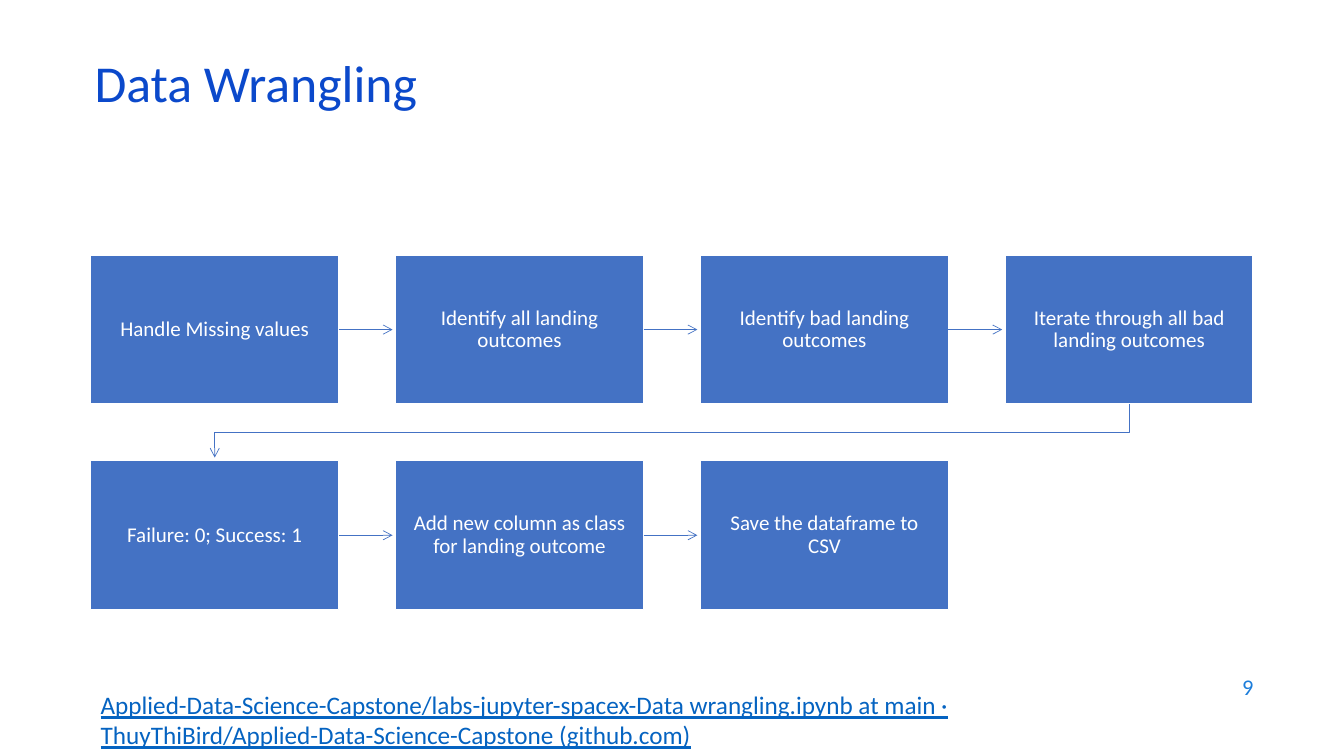
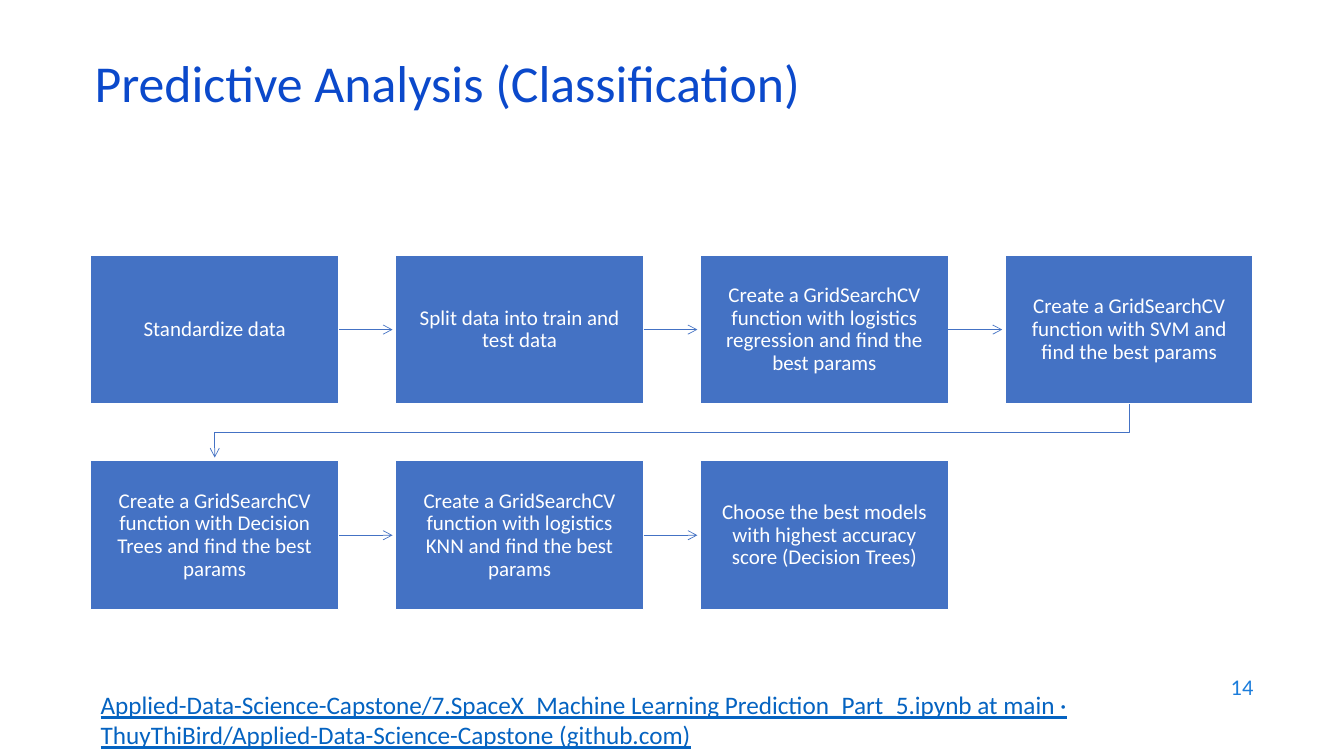
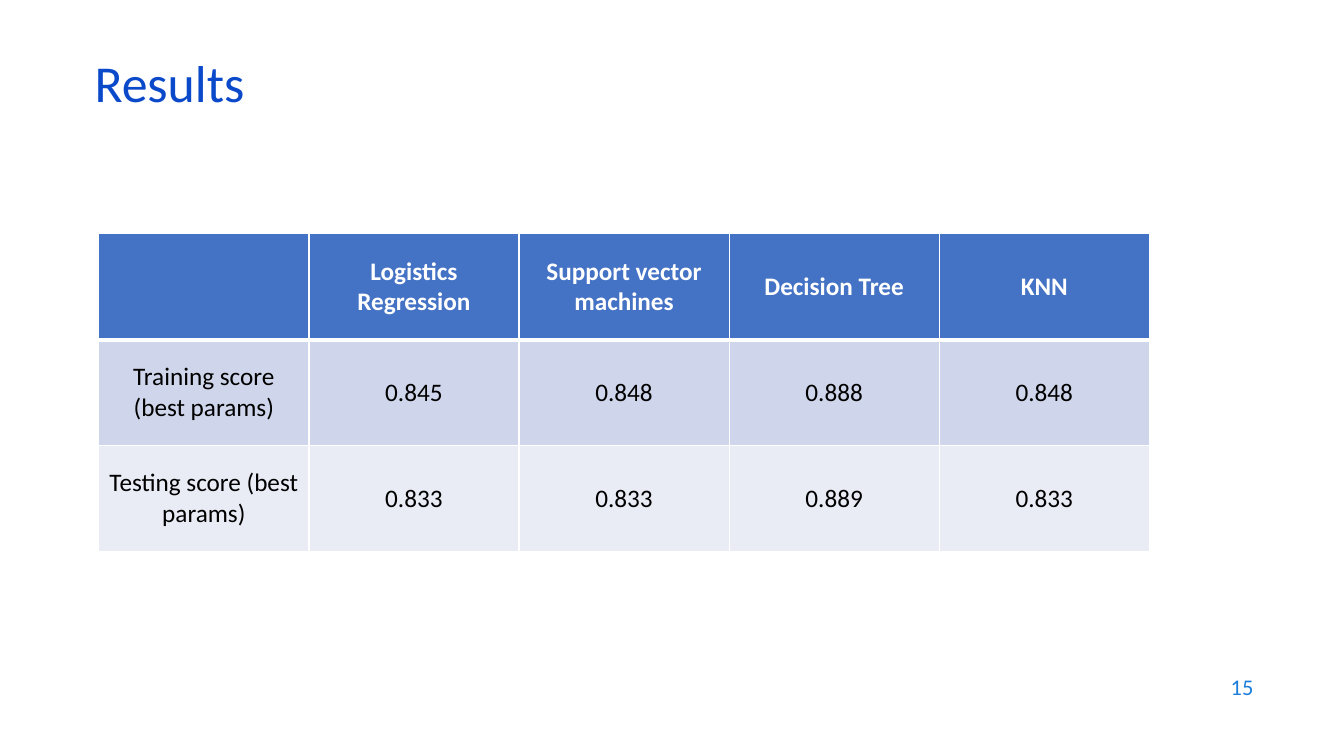
from lxml.etree import SubElement
from pptx import Presentation
from pptx.dml.color import RGBColor
from pptx.enum.shapes import MSO_CONNECTOR, MSO_SHAPE
from pptx.enum.text import MSO_ANCHOR, PP_ALIGN
from pptx.oxml.ns import qn
from pptx.util import Inches, Pt

# Shared style
FONT = "Calibri"
TITLE_BLUE = RGBColor(0x0B, 0x49, 0xCB)
NUMBER_BLUE = RGBColor(0x1C, 0x7D, 0xDB)
LINK_BLUE = RGBColor(0x05, 0x63, 0xC1)
BLUE = RGBColor(0x44, 0x72, 0xC4)
WHITE = RGBColor(0xFF, 0xFF, 0xFF)
BLACK = RGBColor(0, 0, 0)
ROW_FILLS = [BLUE, RGBColor(0xCF, 0xD5, 0xEA), RGBColor(0xE9, 0xEB, 0xF5)]

# Content
FLOWS = [
    {
        "title": "Data Wrangling",
        "number": "9",
        "steps": [
            "Handle Missing values",
            "Identify all landing outcomes",
            "Identify bad landing outcomes",
            "Iterate through all bad landing outcomes",
            "Failure: 0; Success: 1",
            "Add new column as class for landing outcome",
            "Save the dataframe to CSV",
        ],
        "source": "Applied-Data-Science-Capstone/labs-jupyter-spacex-Data wrangling.ipynb "
                  "at main · ThuyThiBird/Applied-Data-Science-Capstone (github.com)",
    },
    {
        "title": "Predictive Analysis (Classification)",
        "number": "14",
        "steps": [
            "Standardize data",
            "Split data into train and test data",
            "Create a GridSearchCV function with logistics regression and find the best params",
            "Create a GridSearchCV function with SVM and find the best params",
            "Create a GridSearchCV function with Decision Trees and find the best params",
            "Create a GridSearchCV function with logistics KNN and find the best params",
            "Choose the best models with highest accuracy score (Decision Trees)",
        ],
        "source": "Applied-Data-Science-Capstone/7.SpaceX_Machine Learning Prediction_Part_5.ipynb "
                  "at main · ThuyThiBird/Applied-Data-Science-Capstone (github.com)",
    },
]
RESULTS = {
    "title": "Results",
    "number": "15",
    "rows": [
        ["", "Logistics Regression", "Support vector machines", "Decision Tree", "KNN"],
        ["Training score (best params)", "0.845", "0.848", "0.888", "0.848"],
        ["Testing score (best params)", "0.833", "0.833", "0.889", "0.833"],
    ],
}

# Flow grid
COLS = 4
BOX_W, BOX_H = Inches(2.46), Inches(1.48)
GRID_LEFT, GRID_TOP = Inches(0.9), Inches(2.53)
PITCH_X = (Inches(12.43) - GRID_LEFT - BOX_W) // (COLS - 1)
PITCH_Y = Inches(2.04)
ARROW_GAP = Inches(0.03)


def write(tf, text, size, color, align=PP_ALIGN.LEFT, bold=False):
    p = tf.paragraphs[0]
    p.alignment = align
    r = p.add_run()
    r.text = text
    r.font.name, r.font.size, r.font.bold = FONT, Pt(size), bold
    r.font.color.rgb = color
    return p, r


def add_text(s, box, text, size, color, align=PP_ALIGN.LEFT, anchor=MSO_ANCHOR.MIDDLE):
    tf = s.shapes.add_textbox(*map(Inches, box)).text_frame
    tf.word_wrap = True
    tf.vertical_anchor = anchor
    return write(tf, text, size, color, align)


def new_slide(prs, title, number):
    s = prs.slides.add_slide(prs.slide_layouts[6])
    add_text(s, (9.53, 6.59, 3, 0.44), number, 16, NUMBER_BLUE, PP_ALIGN.RIGHT)
    p, _ = add_text(s, (0.84, 0.59, 11.5, 0.6), title, 37, TITLE_BLUE)
    p.line_spacing = 0.7
    return s


def style_arrow(sp):
    sp.line.color.rgb = BLUE
    sp.line.width = Pt(0.5)
    props = sp._element.spPr
    SubElement(props.find(qn("a:ln")), qn("a:tailEnd"), type="arrow")
    SubElement(props, qn("a:effectLst"))


def add_step(s, i, text):
    row, col = divmod(i, COLS)
    sp = s.shapes.add_shape(MSO_SHAPE.RECTANGLE, GRID_LEFT + col * PITCH_X,
                            GRID_TOP + row * PITCH_Y, BOX_W, BOX_H)
    sp.shadow.inherit = False
    sp.fill.solid()
    sp.fill.fore_color.rgb = BLUE
    sp.line.color.rgb = WHITE
    sp.line.width = Pt(1)
    tf = sp.text_frame
    tf.word_wrap = True
    tf.vertical_anchor = MSO_ANCHOR.MIDDLE
    tf.margin_left = tf.margin_right = tf.margin_top = tf.margin_bottom = Inches(0.12)
    p, _ = write(tf, text, 15, WHITE, PP_ALIGN.CENTER)
    p.line_spacing = 0.9
    return sp


def link_steps(s, a, b):
    if a.top == b.top:
        y = a.top + BOX_H // 2
        arrow = s.shapes.add_connector(MSO_CONNECTOR.STRAIGHT, a.left + BOX_W, y,
                                       b.left - ARROW_GAP, y)
        arrow.begin_connect(a, 3)
    else:
        # Wrap from the end of one row to the start of the next
        start_x, end_x = a.left + BOX_W // 2, b.left + BOX_W // 2
        bottom = a.top + BOX_H
        middle = (bottom + b.top) // 2
        path_builder = s.shapes.build_freeform(start_x, bottom)
        path_builder.add_line_segments(
            [(start_x, middle), (end_x, middle), (end_x, b.top - ARROW_GAP)], close=False)
        arrow = path_builder.convert_to_shape()
        arrow.fill.background()
    style_arrow(arrow)


def add_flow(prs, flow):
    s = new_slide(prs, flow["title"], flow["number"])
    boxes = [add_step(s, i, text) for i, text in enumerate(flow["steps"])]
    for a, b in zip(boxes, boxes[1:]):
        link_steps(s, a, b)
    _, r = add_text(s, (0.9, 6.79, 10.72, 0.71), flow["source"], 18, LINK_BLUE,
                    anchor=MSO_ANCHOR.TOP)
    r.font.underline = True


def set_borders(cell, widths):
    props = cell._tc.get_or_add_tcPr()
    for side, width in widths.items():
        ln = SubElement(props, qn(f"a:ln{side}"), w=str(Pt(width)))
        fill = SubElement(ln, qn("a:solidFill"))
        SubElement(fill, qn("a:srgbClr"), val=str(WHITE))


def add_results(prs, results):
    s = new_slide(prs, results["title"], results["number"])
    rows = results["rows"]
    table = s.shapes.add_table(len(rows), len(rows[0]), Inches(0.98), Inches(2.32),
                               Inches(10.42), Inches(3.15)).table
    for i, row in enumerate(rows):
        header = i == 0
        for j, text in enumerate(row):
            cell = table.cell(i, j)
            set_borders(cell, {"L": 1, "R": 1, "T": 3 if i == 1 else 1, "B": 3 if header else 1})
            cell.fill.solid()
            cell.fill.fore_color.rgb = ROW_FILLS[i]
            cell.vertical_anchor = MSO_ANCHOR.MIDDLE
            if text:
                write(cell.text_frame, text, 18, WHITE if header else BLACK,
                      PP_ALIGN.CENTER, header)


def main():
    prs = Presentation()
    prs.slide_width, prs.slide_height = Inches(13.33), Inches(7.5)
    for flow in FLOWS:
        add_flow(prs, flow)
    add_results(prs, RESULTS)
    prs.save("out.pptx")


if __name__ == "__main__":
    main()
